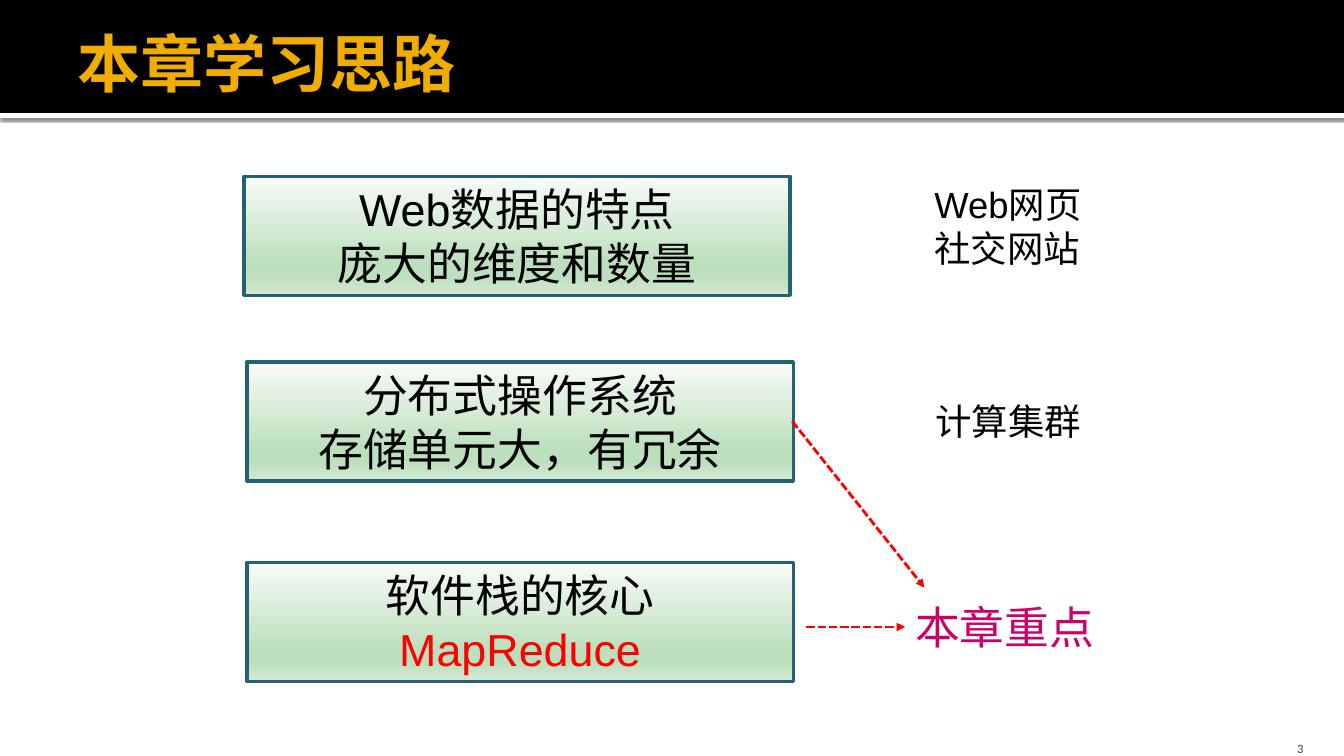
from lxml.etree import SubElement
from pptx import Presentation
from pptx.dml.color import RGBColor
from pptx.enum.dml import MSO_LINE
from pptx.enum.shapes import MSO_CONNECTOR, MSO_SHAPE
from pptx.enum.text import MSO_ANCHOR, PP_ALIGN
from pptx.oxml.ns import qn
from pptx.util import Inches, Pt

COLORS = {
    "black": "000000", "white": "FFFFFF", "title": "F0AD00", "number": "454545",
    "border": "246172", "red": "FF0000", "focus": "CC0066",
    "pale": "F8FBF8", "green": "BCDFBD", "mint": "D3E9D3",
}
BOX_STOPS = [(0, "pale"), (74, "green"), (83, "green"), (100, "mint")]


def rgb(name):
    return RGBColor.from_string(COLORS[name])


def add_color(parent, name):
    return SubElement(parent, qn("a:srgbClr"), val=COLORS[name])


class Deck:
    """Slide builder; all lengths are percent of the slide's width or height."""

    def __init__(self, width, height):
        self.prs = Presentation()
        self.prs.slide_width, self.prs.slide_height = Inches(width), Inches(height)
        self.s = self.prs.slides.add_slide(self.prs.slide_layouts[6])

    def area(self, x, y, w, h):
        sw, sh = self.prs.slide_width, self.prs.slide_height
        return [round(v * size / 100) for v, size in ((x, sw), (y, sh), (w, sw), (h, sh))]

    def set_text(self, sp, text, size, color="black", font="Arial", bold=False,
                 align=PP_ALIGN.LEFT, anchor=MSO_ANCHOR.TOP):
        tf = sp.text_frame
        tf.word_wrap = True
        tf.vertical_anchor = anchor
        tf.text = text
        for p in tf.paragraphs:
            p.alignment = align
            for r in p.runs:
                r.font.size, r.font.name, r.font.bold = Pt(size), font, bold
                r.font.color.rgb = rgb(color)
        return tf

    def label(self, area, text, size, **style):
        return self.set_text(self.s.shapes.add_textbox(*self.area(*area)), text, size, **style)

    def rect(self, area):
        sp = self.s.shapes.add_shape(MSO_SHAPE.RECTANGLE, *self.area(*area))
        sp.shadow.inherit = False
        return sp

    def band(self, area, color):
        sp = self.rect(area)
        sp.fill.solid()
        sp.fill.fore_color.rgb = rgb(color)
        sp.line.fill.background()
        return sp

    def shadow(self, sp):
        effects = sp._element.spPr.find(qn("a:effectLst"))
        outer = SubElement(effects, qn("a:outerShdw"), blurRad=str(Pt(2.5)),
                           dist=str(Pt(0.8)), dir="5400000", rotWithShape="0")
        SubElement(add_color(outer, "black"), qn("a:alpha"), val="60000")

    def box(self, area, text):
        sp = self.rect(area)
        sp.fill.gradient()
        sp.fill.gradient_angle = 270
        stops = sp._element.spPr.find(qn("a:gradFill")).find(qn("a:gsLst"))
        for old in list(stops):
            stops.remove(old)
        for pos, color in BOX_STOPS:
            add_color(SubElement(stops, qn("a:gs"), pos=str(pos * 1000)), color)
        sp.line.color.rgb = rgb("border")
        sp.line.width = Pt(2.5)
        return self.set_text(sp, text, 32, align=PP_ALIGN.CENTER, anchor=MSO_ANCHOR.MIDDLE)

    def arrow(self, x1, y1, x2, y2):
        c = self.s.shapes.add_connector(MSO_CONNECTOR.STRAIGHT, *self.area(x1, y1, x2, y2))
        c.line.color.rgb = rgb("red")
        c.line.width = Pt(2)
        c.line.dash_style = MSO_LINE.SQUARE_DOT
        spPr = c._element.spPr
        SubElement(spPr.find(qn("a:ln")), qn("a:tailEnd"), type="triangle")
        SubElement(spPr, qn("a:effectLst"))


def main():
    deck = Deck(13.33, 7.5)
    deck.shadow(deck.band((0, 14.93, 100, 0.67), "white"))
    deck.band((0, 0, 100, 14.93), "black")
    deck.label((5, 1.07, 90, 14.4), "本章学习思路", 45, color="title", font="Calibri",
               bold=True, anchor=MSO_ANCHOR.MIDDLE)
    number = deck.label((89.7, 96, 8.03, 4), "3", 9, color="number", font="Calibri",
                        align=PP_ALIGN.RIGHT, anchor=MSO_ANCHOR.BOTTOM)
    number.margin_bottom = 0

    steps = [
        (18.15, 23.33, "Web数据的特点\n庞大的维度和数量"),
        (18.38, 47.87, "分布式操作系统\n存储单元大，有冗余"),
        (18.38, 74.4, "软件栈的核心\nMapReduce"),
    ]
    for x, y, text in steps:
        tf = deck.box((x, y, 40.65, 15.73), text)
    tf.paragraphs[-1].runs[0].font.color.rgb = rgb("red")

    deck.label((68.78, 23.47, 12.53, 13.07), "Web网页\n社交网站", 26)
    deck.label((68.85, 52.13, 12.53, 7.2), "计算集群", 26)
    deck.label((67.35, 78.67, 15, 8.53), "本章重点", 32, color="focus")
    deck.arrow(58.95, 55.73, 68.78, 77.73)
    deck.arrow(60, 82.93, 67.35, 82.93)
    deck.prs.save("out.pptx")


if __name__ == "__main__":
    main()
